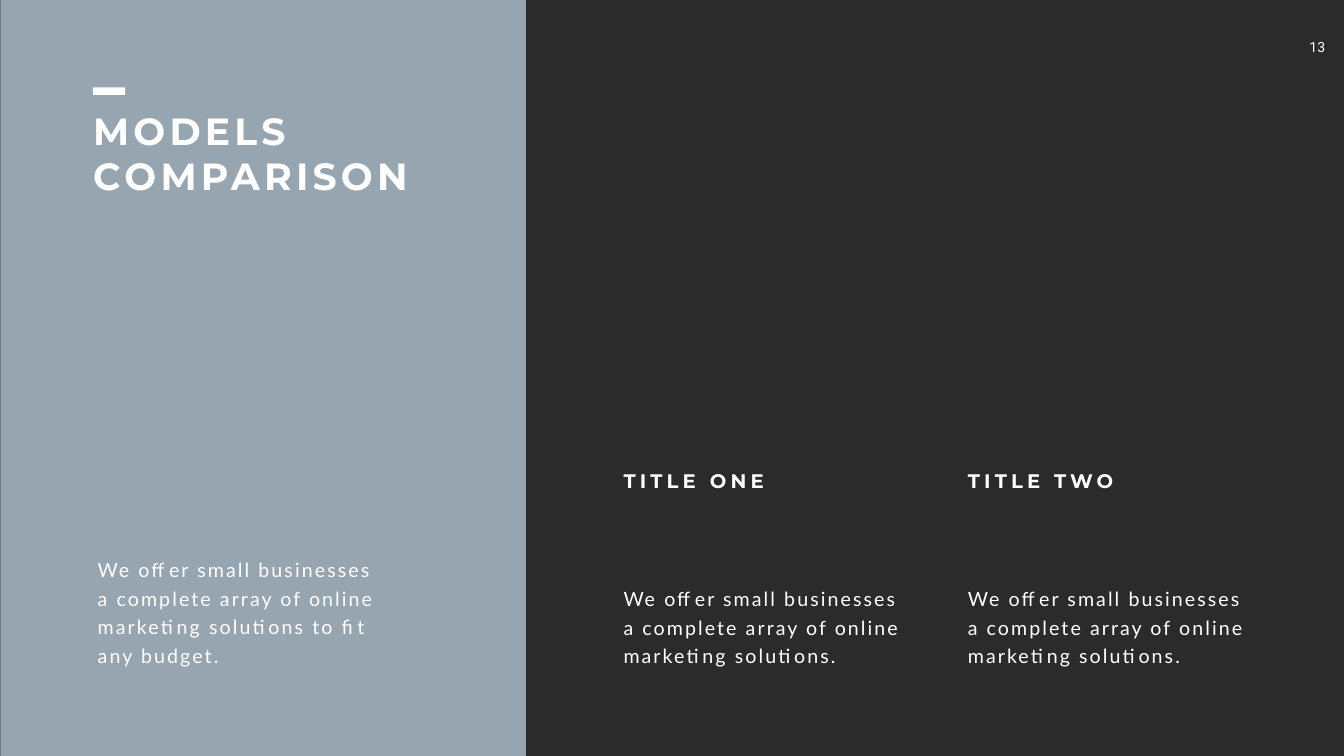
from lxml.etree import SubElement
from pptx import Presentation
from pptx.dml.color import RGBColor
from pptx.enum.shapes import MSO_SHAPE
from pptx.enum.text import MSO_AUTO_SIZE, PP_ALIGN
from pptx.oxml.ns import qn
from pptx.util import Pt

COLORS = {"background": "2B2B2B", "panel": "B1C4D2", "text": "FFFFFF"}
PANEL_OPACITY = 80

STYLES = {
    "heading": {"font": {"name": "Montserrat", "size": Pt(54), "bold": True}, "tracking": 6},
    "title": {"font": {"name": "Montserrat", "size": Pt(28), "bold": True}, "tracking": 6},
    "body": {
        "font": {"name": "Lato", "size": Pt(28)},
        "tracking": 3,
        "paragraph": {"line_spacing": Pt(40.8)},
    },
    "number": {
        "font": {"name": "Roboto", "size": Pt(20)},
        "tracking": 0,
        "paragraph": {"alignment": PP_ALIGN.CENTER},
        "frame": {
            "margin_left": Pt(14.4), "margin_right": Pt(14.4),
            "margin_top": Pt(7.2), "margin_bottom": Pt(7.2),
        },
    },
}

PAGE_NUMBER = "13"
HEADING = "MODELS COMPARISON"
INTRO = (
    "We offer small businesses a complete array of online "
    "marketing solutions to fit any budget."
)
MODELS = [
    ("TITLE ONE", "We offer small businesses a complete array of online marketing solutions."),
    ("TITLE TWO", "We offer small businesses a complete array of online marketing solutions."),
]
MODELS_LEFT, MODELS_STEP = 883.44, 491.76


def set_all(target, values):
    for key, value in values.items():
        setattr(target, key, value)


def add_block(slide, color, left, top, width, height):
    block = slide.shapes.add_shape(
        MSO_SHAPE.RECTANGLE, Pt(left), Pt(top), Pt(width), Pt(height)
    )
    block.shadow.inherit = False
    block.fill.solid()
    block.fill.fore_color.rgb = RGBColor.from_string(COLORS[color])
    block.line.fill.background()
    return block


def add_text(slide, words, style_name, left, top, width, height):
    style = STYLES[style_name]
    frame = slide.shapes.add_textbox(Pt(left), Pt(top), Pt(width), Pt(height)).text_frame
    frame.word_wrap = True
    frame.auto_size = MSO_AUTO_SIZE.SHAPE_TO_FIT_TEXT
    set_all(frame, style.get("frame", {}))
    paragraph = frame.paragraphs[0]
    set_all(paragraph, style.get("paragraph", {}))
    run = paragraph.add_run()
    run.text = words
    set_all(run.font, style["font"])
    run.font.color.rgb = RGBColor.from_string(COLORS["text"])
    run._r.get_or_add_rPr().set("spc", str(style["tracking"] * 100))


def main():
    deck = Presentation()
    deck.slide_width, deck.slide_height = Pt(1919.52), Pt(1080)
    slide = deck.slides.add_slide(deck.slide_layouts[6])
    backdrop = slide.background.fill
    backdrop.solid()
    backdrop.fore_color.rgb = RGBColor.from_string(COLORS["background"])

    add_text(slide, PAGE_NUMBER, "number", 1845, 48.24, 72.72, 38.88)

    panel = add_block(slide, "panel", 0.72, 0, 750.24, 1080)
    panel_color = panel.fill._xPr.find(qn("a:solidFill"))[0]
    SubElement(panel_color, qn("a:alpha")).set("val", str(PANEL_OPACITY * 1000))

    add_text(slide, HEADING, "heading", 126, 149.76, 491.04, 138.24)
    add_block(slide, "text", 132.84, 124.92, 46.08, 10.8)
    add_text(slide, INTRO, "body", 132.48, 786.24, 430.56, 168.48)

    for index, (title, description) in enumerate(MODELS):
        left = MODELS_LEFT + index * MODELS_STEP
        add_text(slide, title, "title", left, 666.72, 411.84, 41.04)
        add_text(slide, description, "body", left, 828, 429.12, 127.44)

    deck.save("out.pptx")


if __name__ == "__main__":
    main()
